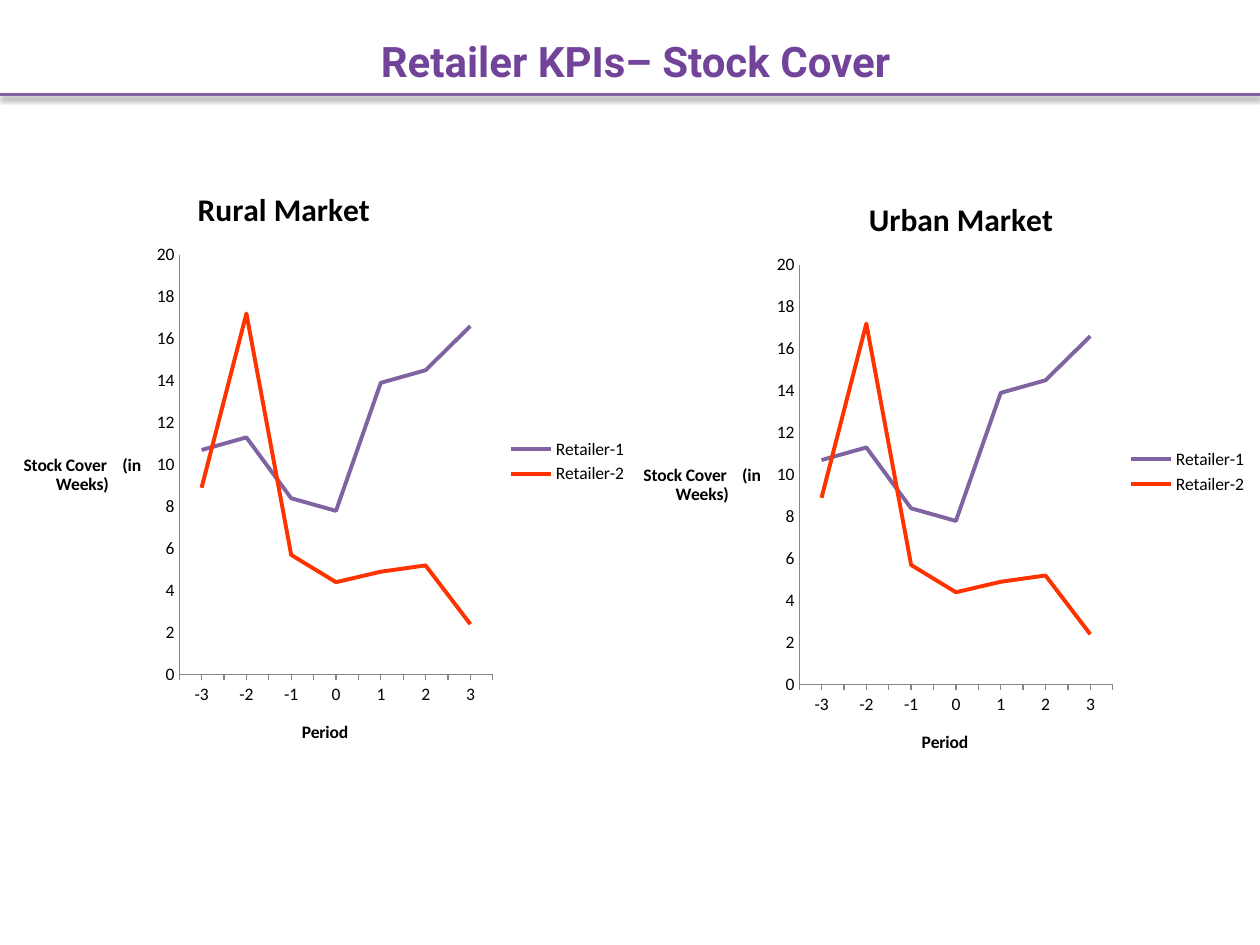
"""Build the retailer stock cover slide with its two market line charts."""
from dataclasses import dataclass

from lxml import etree
from pptx import Presentation
from pptx import util as u
from pptx.chart.data import CategoryChartData
from pptx.dml.color import RGBColor
from pptx.enum import chart as ch
from pptx.enum import shapes, text
from pptx.oxml import parse_xml
from pptx.oxml.ns import nsdecls

PURPLE, ORANGE, AXIS_GREY = "8064A2", "FF3300", "868686"
PERIODS = ["-3", "-2", "-1", "0", "1", "2", "3"]


@dataclass(frozen=True)
class Retailer:
    name: str
    color: str
    weeks: tuple[float, ...]


@dataclass(frozen=True)
class Market:
    title: str
    left: float
    top: float
    title_x: float


RETAILERS = [
    Retailer("Retailer-1", PURPLE, (10.7, 11.3, 8.4, 7.8, 13.9, 14.5, 16.6)),
    Retailer("Retailer-2", ORANGE, (8.9, 17.2, 5.7, 4.4, 4.9, 5.2, 2.4)),
]
MARKETS = [
    Market("Rural Market", 0, 1.25, 0.3),
    Market("Urban Market", 4.92, 1.33, 0.38),
]


def rgb(color: str) -> RGBColor:
    return RGBColor.from_string(color)


def set_layout(element, **parts) -> None:
    """Give a chart part a manual layout, replacing any layout it has."""
    for old in element.findall("{*}layout"):
        element.remove(old)
    tags = "".join(f'<c:{tag} val="{value}"/>' for tag, value in parts.items())
    layout = parse_xml(f'<c:layout {nsdecls("c")}><c:manualLayout>{tags}'
                       "</c:manualLayout></c:layout>")
    label = element.find("{*}tx")
    element.insert(0 if label is None else element.index(label) + 1, layout)


def write_title(title, wording: str, size: float) -> None:
    frame = title.text_frame
    frame.text = wording
    font = frame.paragraphs[0].font
    font.name, font.size, font.bold = "Calibri", u.Pt(size), True
    font.color.rgb = rgb("000000")


def style_axis(axis, wording: str, minor_tick) -> None:
    axis.has_major_gridlines = False
    axis.major_tick_mark = ch.XL_TICK_MARK.NONE
    axis.minor_tick_mark = minor_tick
    axis.format.line.color.rgb = rgb(AXIS_GREY)
    axis.format.line.width = u.Pt(0.75)
    write_title(axis.axis_title, wording, 10)


def add_market_chart(page, market: Market) -> None:
    data = CategoryChartData()
    data.categories = PERIODS
    for retailer in RETAILERS:
        data.add_series(retailer.name, retailer.weeks)
    chart = page.shapes.add_chart(
        ch.XL_CHART_TYPE.LINE, u.Inches(market.left), u.Inches(market.top),
        u.Inches(5.08), u.Inches(4.83), data).chart
    chart.font.name, chart.font.size = "Calibri", u.Pt(10)
    chart.font.color.rgb = rgb("000000")

    write_title(chart.chart_title, market.title, 18)
    set_layout(chart.chart_title.format.line and chart.chart_title._element,
               xMode="edge", yMode="edge", x=market.title_x, y=0.04)
    chart.has_legend = True
    chart.legend.position = ch.XL_LEGEND_POSITION.RIGHT
    chart.legend.include_in_layout = False

    style_axis(chart.category_axis, "Period", ch.XL_TICK_MARK.OUTSIDE)
    style_axis(chart.value_axis, "Stock Cover    (in Weeks)", ch.XL_TICK_MARK.NONE)
    chart.value_axis.minimum_scale, chart.value_axis.maximum_scale = 0, 20
    chart.value_axis.major_unit = 2
    chart.value_axis.axis_title.text_frame._txBody.bodyPr.set("rot", "0")
    chart.value_axis.axis_title.text_frame._txBody.bodyPr.set("vert", "horz")

    plot = chart.plots[0]
    plot.vary_by_categories = False
    set_layout(chart._chartSpace.chart.plotArea, layoutTarget="inner",
               xMode="edge", yMode="edge", x=0.28, y=0.16, w=0.49, h=0.69)
    for series, retailer in zip(plot.series, RETAILERS):
        series.smooth = False
        series.marker.style = ch.XL_MARKER_STYLE.NONE
        series.format.line.color.rgb = rgb(retailer.color)
        series.format.line.width = u.Pt(2.25)


def add_header_rule(page) -> None:
    rule = page.shapes.add_connector(
        shapes.MSO_CONNECTOR.STRAIGHT, 0, u.Inches(0.75), u.Inches(10), u.Inches(0.75))
    rule.line.color.rgb = rgb(PURPLE)
    rule.line.width = u.Pt(2)
    rule._element.spPr.append(etree.fromstring(
        f'<a:effectLst {nsdecls("a")}>'
        f'<a:outerShdw blurRad="{u.Pt(3.1)}" dist="{u.Pt(1.6)}" dir="5400000" rotWithShape="0">'
        '<a:srgbClr val="000000"><a:alpha val="38000"/></a:srgbClr>'
        "</a:outerShdw></a:effectLst>"))


def add_heading(page, wording: str) -> None:
    box = page.shapes.add_textbox(
        u.Inches(0.17), u.Inches(0.05), u.Inches(9.75), u.Inches(0.87))
    frame = box.text_frame
    frame.word_wrap = True
    frame.vertical_anchor = text.MSO_ANCHOR.MIDDLE
    para = frame.paragraphs[0]
    para.text = wording
    para.alignment = text.PP_ALIGN.CENTER
    para.font.name, para.font.size, para.font.bold = "Roboto", u.Pt(24), True
    para.font.color.rgb = rgb("71449A")


def main() -> None:
    deck = Presentation()
    deck.slide_width, deck.slide_height = u.Inches(10), u.Inches(7.5)
    page = deck.slides.add_slide(deck.slide_layouts[6])
    add_header_rule(page)
    for market in MARKETS:
        add_market_chart(page, market)
    add_heading(page, "Retailer KPIs– Stock Cover")
    deck.save("out.pptx")


if __name__ == "__main__":
    main()
